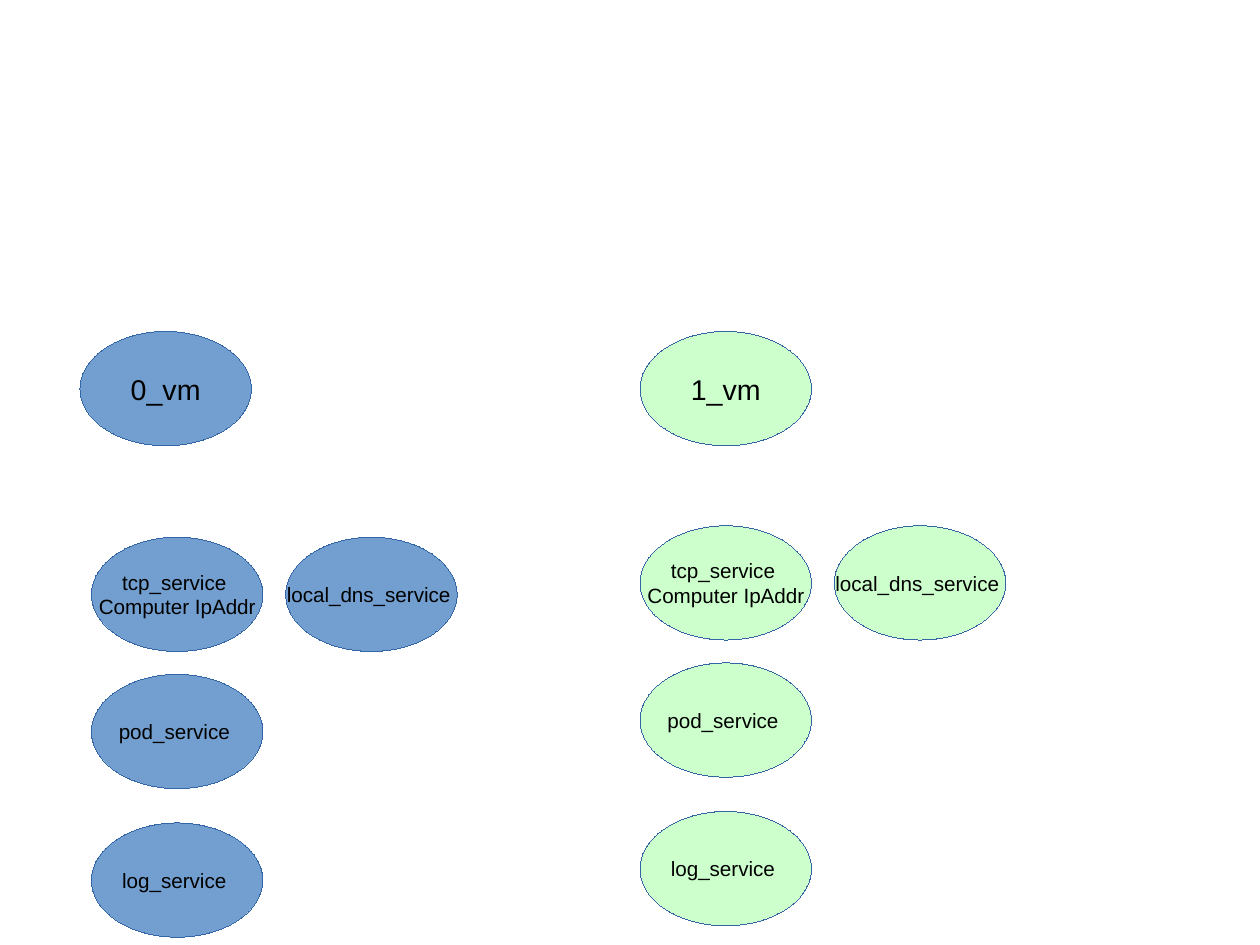
from pptx import Presentation
from pptx.dml.color import RGBColor
from pptx.enum.shapes import MSO_SHAPE
from pptx.enum.text import MSO_ANCHOR, PP_ALIGN
from pptx.util import Pt

ELLIPSE = MSO_SHAPE.OVAL
MIDDLE = MSO_ANCHOR.MIDDLE
CENTER = PP_ALIGN.CENTER

BLUE = RGBColor(0x72, 0x9F, 0xCF)
GREEN = RGBColor(0xCC, 0xFF, 0xCC)
OUTLINE = RGBColor(0x34, 0x65, 0xA4)
BLACK = RGBColor(0, 0, 0)

SLIDE_W, SLIDE_H = 793.7, 595.28
NODE_W, NODE_H = 108, 72
HAIRLINE = 0.01
VM_TOP = 208.8
VM_SIZE, SERVICE_SIZE = 18, 13

# Service label with its offset from the group's top-left corner
SERVICES = [
    ("tcp_service \vComputer IpAddr", 0, 0),
    ("pod_service ", 0, 86.4),
    ("log_service ", 0, 180),
    ("local_dns_service ", 122.4, 0),
]


def add_node(slide, label, left, top, fill, size):
    """Add an outlined ellipse with a centred label."""
    sp = slide.shapes.add_shape(ELLIPSE, Pt(left), Pt(top), Pt(NODE_W), Pt(NODE_H))
    sp.shadow.inherit = False
    sp.fill.solid()
    sp.fill.fore_color.rgb = fill
    sp.line.color.rgb = OUTLINE
    sp.line.width = Pt(HAIRLINE)

    tf = sp.text_frame
    frame_format = {
        "word_wrap": False, "vertical_anchor": MIDDLE,
        "margin_left": Pt(7.2), "margin_right": Pt(7.2),
        "margin_top": Pt(3.6), "margin_bottom": Pt(3.6),
    }
    for name, value in frame_format.items():
        setattr(tf, name, value)

    p = tf.paragraphs[0]
    p.text = label
    p.alignment = CENTER
    for r in p.runs:
        for name, value in {"name": "Arial", "size": Pt(size)}.items():
            setattr(r.font, name, value)
        r.font.color.rgb = BLACK


def add_machine(slide, name, vm_left, services_left, services_top, fill):
    """Add a virtual machine and the services below it."""
    add_node(slide, name, vm_left, VM_TOP, fill, VM_SIZE)
    for label, dx, dy in SERVICES:
        add_node(slide, label, services_left + dx, services_top + dy,
                 fill, SERVICE_SIZE)


def main():
    prs = Presentation()
    prs.slide_width, prs.slide_height = Pt(SLIDE_W), Pt(SLIDE_H)
    slide = prs.slides.add_slide(prs.slide_layouts[6])

    # Left and right machines
    add_machine(slide, "0_vm", 50.4, 57.6, 338.4, BLUE)
    add_machine(slide, "1_vm", 403.2, 403.2, 331.2, GREEN)

    prs.save("out.pptx")


if __name__ == "__main__":
    main()
